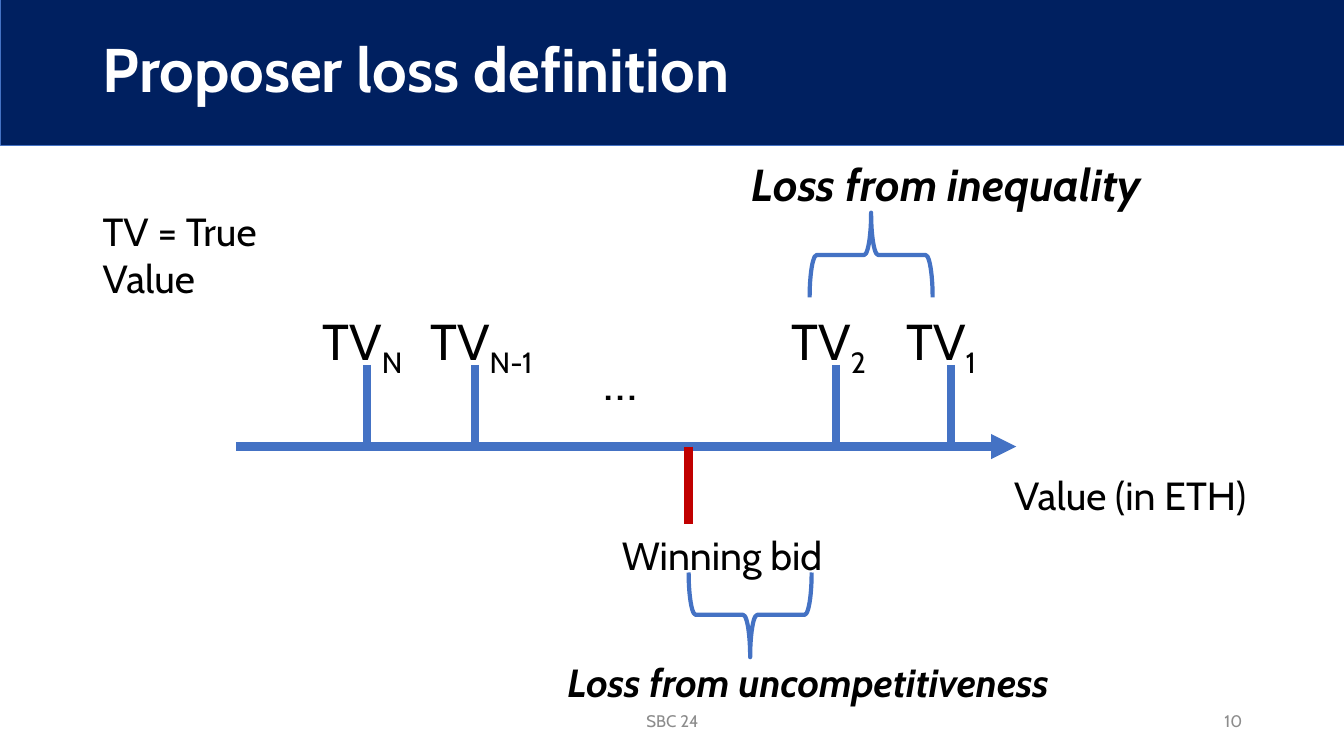
from lxml import etree
from pptx import Presentation
from pptx.dml.color import RGBColor
from pptx.enum import shapes, text
from pptx.oxml.ns import qn
from pptx.util import Inches, Pt

COLOURS = {
    "navy": "002060",
    "blue": "4472C4",
    "red": "C00000",
    "black": "000000",
    "white": "FFFFFF",
    "grey": "8C8C8C",
}
FONT = "Cabin"
AXIS_Y = 4.43
TICK_HEIGHT = 0.77
TICK_TOP = 3.62


def colour(name):
    return RGBColor.from_string(COLOURS[name])


def write(frame, words, size=28, ink="black", bold=False, italic=False,
          align=text.PP_ALIGN.LEFT, anchor=text.MSO_ANCHOR.TOP,
          subscript="", spacing=None):
    frame.word_wrap = True
    frame.vertical_anchor = anchor
    paragraph = frame.paragraphs[0]
    paragraph.alignment = align
    paragraph.line_spacing = spacing
    for part in filter(None, (words, subscript)):
        run = paragraph.add_run()
        run.text = part
        run.font.name = FONT
        run.font.size = Pt(size)
        run.font.bold = bold
        run.font.italic = italic
        run.font.color.rgb = colour(ink)
    if subscript:
        run.font._element.set("baseline", "-25000")


def add_label(parent, left, top, width, height, words, **style):
    label = parent.add_textbox(Inches(left), Inches(top), Inches(width), Inches(height))
    write(label.text_frame, words, **style)


def add_line(parent, start, end, ink="blue", arrow=False):
    line = parent.add_connector(
        shapes.MSO_CONNECTOR.STRAIGHT, *(Inches(v) for v in (*start, *end)))
    line.line.color.rgb = colour(ink)
    line.line.width = Pt(6)
    if arrow:
        etree.SubElement(line.line._get_or_add_ln(), qn("a:tailEnd"), type="triangle")
    etree.SubElement(line._element.spPr, qn("a:effectLst"))


def add_banner(slide, words):
    banner = slide.shapes.add_shape(
        shapes.MSO_SHAPE.RECTANGLE, 0, Inches(-0.01), Inches(13.33), Inches(1.45))
    banner.shadow.inherit = False
    banner.fill.solid()
    banner.fill.fore_color.rgb = colour("navy")
    banner.line.color.rgb = colour("blue")
    banner.line.width = Pt(0.5)

    title = slide.shapes.title
    title.left, title.top = Inches(0.92), Inches(0.17)
    title.width, title.height = Inches(11.5), Inches(1.1)
    write(title.text_frame, words, size=44, ink="white", bold=True,
          anchor=text.MSO_ANCHOR.MIDDLE, spacing=0.9)
    title._element.addprevious(banner._element)


def add_true_value(slide, x, subscript, width=1.47):
    tick = slide.shapes.add_group_shape().shapes
    add_line(tick, (x, TICK_TOP), (x, TICK_TOP + TICK_HEIGHT))
    add_label(tick, x - 0.54, 3.03, width, 1.11, "TV", size=36, subscript=subscript)


def add_winning_bid(slide, x):
    bid = slide.shapes.add_group_shape().shapes
    add_line(bid, (x, AXIS_Y), (x, AXIS_Y + TICK_HEIGHT), ink="red")
    add_label(bid, x - 0.76, 5.22, 2.33, 0.57, "Winning bid")


def add_brace(slide, left, top, rotation):
    brace = slide.shapes.add_shape(
        shapes.MSO_SHAPE.RIGHT_BRACE, Inches(left), Inches(top), Inches(0.84), Inches(1.22))
    brace.rotation = rotation
    brace.shadow.inherit = False
    brace.fill.background()
    brace.line.color.rgb = colour("blue")
    brace.line.width = Pt(3)


def add_footer(slide, left, width, words, align):
    add_label(slide.shapes, left, 6.95, width, 0.4, words, size=12, ink="grey",
              align=align, anchor=text.MSO_ANCHOR.MIDDLE)


def main():
    deck = Presentation()
    deck.slide_width, deck.slide_height = Inches(13.33), Inches(7.5)
    slide = deck.slides.add_slide(deck.slide_layouts[5])

    add_banner(slide, "Proposer loss definition")

    add_line(slide.shapes, (2.34, AXIS_Y), (10.08, AXIS_Y), arrow=True)
    add_label(slide.shapes, 9.96, 4.63, 2.52, 0.57, "Value (in ETH)")
    add_label(slide.shapes, 0.92, 2.01, 2.7, 0.57, "TV = True Value")

    add_true_value(slide, 3.64, "N")
    add_true_value(slide, 4.71, "N-1", width=1.72)
    add_label(slide.shapes, 5.89, 3.42, 0.81, 0.71, "…", size=36)
    add_true_value(slide, 8.29, "2")
    add_true_value(slide, 9.43, "1")
    add_winning_bid(slide, 6.83)

    add_brace(slide, 8.22, 1.92, 270)
    add_label(slide.shapes, 7.36, 1.51, 4.16, 0.64, "Loss from inequality",
              size=32, bold=True, italic=True)
    add_brace(slide, 7.02, 5.49, 90)
    add_label(slide.shapes, 5.53, 6.48, 5.13, 0.57, "Loss from uncompetitiveness",
              bold=True, italic=True)

    add_footer(slide, 4.42, 4.5, "SBC 24", text.PP_ALIGN.CENTER)
    add_footer(slide, 9.42, 3, "10", text.PP_ALIGN.RIGHT)

    deck.save("out.pptx")


if __name__ == "__main__":
    main()
